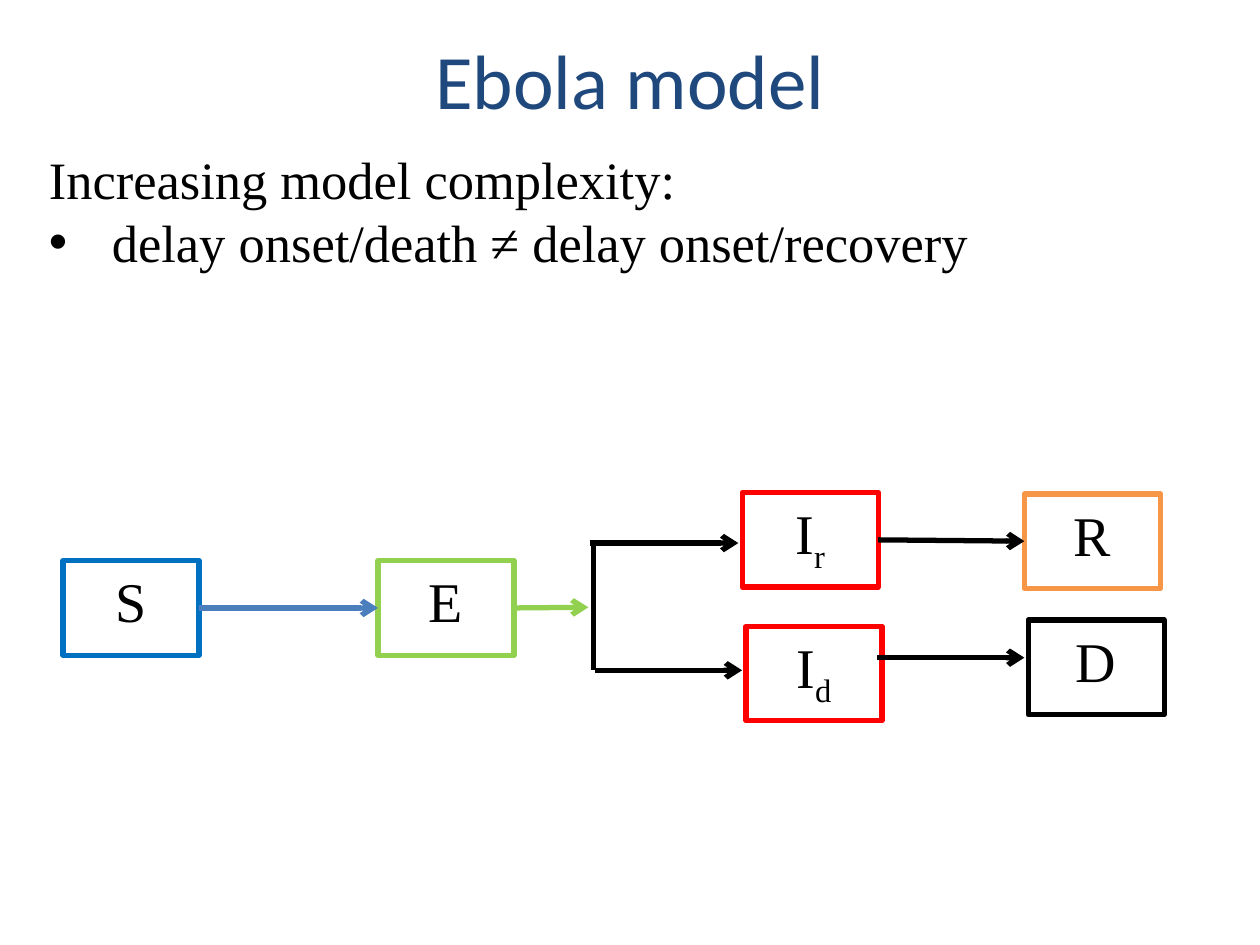
from dataclasses import dataclass
from typing import Optional

from lxml import etree
from pptx import Presentation
from pptx.dml.color import RGBColor
from pptx.enum.shapes import MSO_CONNECTOR, MSO_SHAPE
from pptx.enum.text import MSO_ANCHOR, PP_ALIGN
from pptx.oxml.ns import qn
from pptx.util import Inches, Pt

STRAIGHT = MSO_CONNECTOR.STRAIGHT
RECTANGLE = MSO_SHAPE.RECTANGLE
TOP, MIDDLE = MSO_ANCHOR.TOP, MSO_ANCHOR.MIDDLE
CENTER = PP_ALIGN.CENTER
LEFT_SIDE, RIGHT_SIDE = 1, 3

COLORS = {
    "title": "1F497D", "black": "000000", "blue": "0070C0", "steel": "4B7EBC",
    "green": "92D050", "red": "FF0000", "orange": "F79646",
}
SERIF = "Times New Roman"
BOX_WIDTH, BOX_HEIGHT = 1.08, 0.75
LINE_WIDTH = Pt(3)


@dataclass
class Compartment:
    name: str
    left: float
    top: float
    color: str
    subscript: str = ""


@dataclass
class Flow:
    start: tuple[float, float]
    end: tuple[float, float]
    color: str = "black"
    arrow: bool = True
    source: Optional[str] = None
    target: Optional[str] = None


COMPARTMENTS = [
    Compartment("R", 8.13, 3.92, "orange"),
    Compartment("D", 8.16, 4.92, "black"),
    Compartment("S", 0.5, 4.45, "blue"),
    Compartment("E", 3, 4.45, "green"),
    Compartment("I", 5.89, 3.91, "red", "r"),
    Compartment("I", 5.92, 4.97, "red", "d"),
]
FLOWS = [
    Flow((6.96, 4.29), (8.13, 4.29), source="Ir", target="R"),
    Flow((1.58, 4.82), (3, 4.82), "steel", source="S", target="E"),
    Flow((4.08, 4.82), (4.67, 4.82), "green", source="E"),
    Flow((4.71, 4.32), (4.71, 5.32), arrow=False),
    Flow((4.72, 5.32), (5.89, 5.32)),
    Flow((4.68, 4.31), (5.86, 4.31)),
    Flow((6.96, 5.22), (8.13, 5.22)),
]


def rgb(color: str) -> RGBColor:
    return RGBColor.from_string(COLORS[color])


def add_span(para, text: str, size: float, font: str = SERIF, color: str = "black"):
    span = para.add_run()
    span.text = text
    for name, value in {"size": Pt(size), "name": font}.items():
        setattr(span.font, name, value)
    span.font.color.rgb = rgb(color)
    return span


def add_text_frame(page, left: float, top: float, width: float, height: float, anchor):
    box = page.shapes.add_textbox(Inches(left), Inches(top), Inches(width), Inches(height))
    frame = box.text_frame
    frame.word_wrap = True
    frame.vertical_anchor = anchor
    return frame


def add_bullet(para, indent: float) -> None:
    """Give the paragraph a round bullet with a hanging indent in inches."""
    properties = para._p.get_or_add_pPr()
    properties.set("marL", str(Inches(indent)))
    properties.set("indent", str(-Inches(indent)))
    etree.SubElement(properties, qn("a:buFont")).set("typeface", "Arial")
    etree.SubElement(properties, qn("a:buChar")).set("char", "•")


def add_compartment(page, item: Compartment):
    box = page.shapes.add_shape(RECTANGLE, Inches(item.left), Inches(item.top),
                                Inches(BOX_WIDTH), Inches(BOX_HEIGHT))
    box.shadow.inherit = False
    box.fill.background()
    box.line.color.rgb = rgb(item.color)
    box.line.width = LINE_WIDTH
    box.text_frame.vertical_anchor = TOP
    para = box.text_frame.paragraphs[0]
    para.alignment = CENTER
    add_span(para, item.name, 32)
    if item.subscript:
        span = add_span(para, item.subscript, 32)
        span._r.get_or_add_rPr().set("baseline", "-25000")
    return box


def add_flow(page, flow: Flow, boxes: dict) -> None:
    line = page.shapes.add_connector(STRAIGHT, *map(Inches, flow.start + flow.end))
    if flow.source:
        line.begin_connect(boxes[flow.source], RIGHT_SIDE)
    if flow.target:
        line.end_connect(boxes[flow.target], LEFT_SIDE)
    line.line.color.rgb = rgb(flow.color)
    line.line.width = LINE_WIDTH
    if flow.arrow:
        etree.SubElement(line.line._get_or_add_ln(), qn("a:tailEnd")).set("type", "arrow")
    etree.SubElement(line._element.spPr, qn("a:effectLst"))


def main() -> None:
    deck = Presentation()
    deck.slide_width, deck.slide_height = Inches(10), Inches(7.5)
    page = deck.slides.add_slide(deck.slide_layouts[6])

    title = add_text_frame(page, 0.5, 0, 9, 1.25, MIDDLE).paragraphs[0]
    title.alignment = CENTER
    add_span(title, "Ebola model", 44, "Calibri", "title")

    body = add_text_frame(page, 0.29, 1.12, 9.32, 1.11, TOP)
    add_span(body.paragraphs[0], "Increasing model complexity:", 30)
    point = body.add_paragraph()
    add_bullet(point, 0.5)
    add_span(point, "delay onset/death ≠ delay onset/recovery", 30)

    boxes = {item.name + item.subscript: add_compartment(page, item) for item in COMPARTMENTS}
    for flow in FLOWS:
        add_flow(page, flow, boxes)

    deck.save("out.pptx")


if __name__ == "__main__":
    main()
